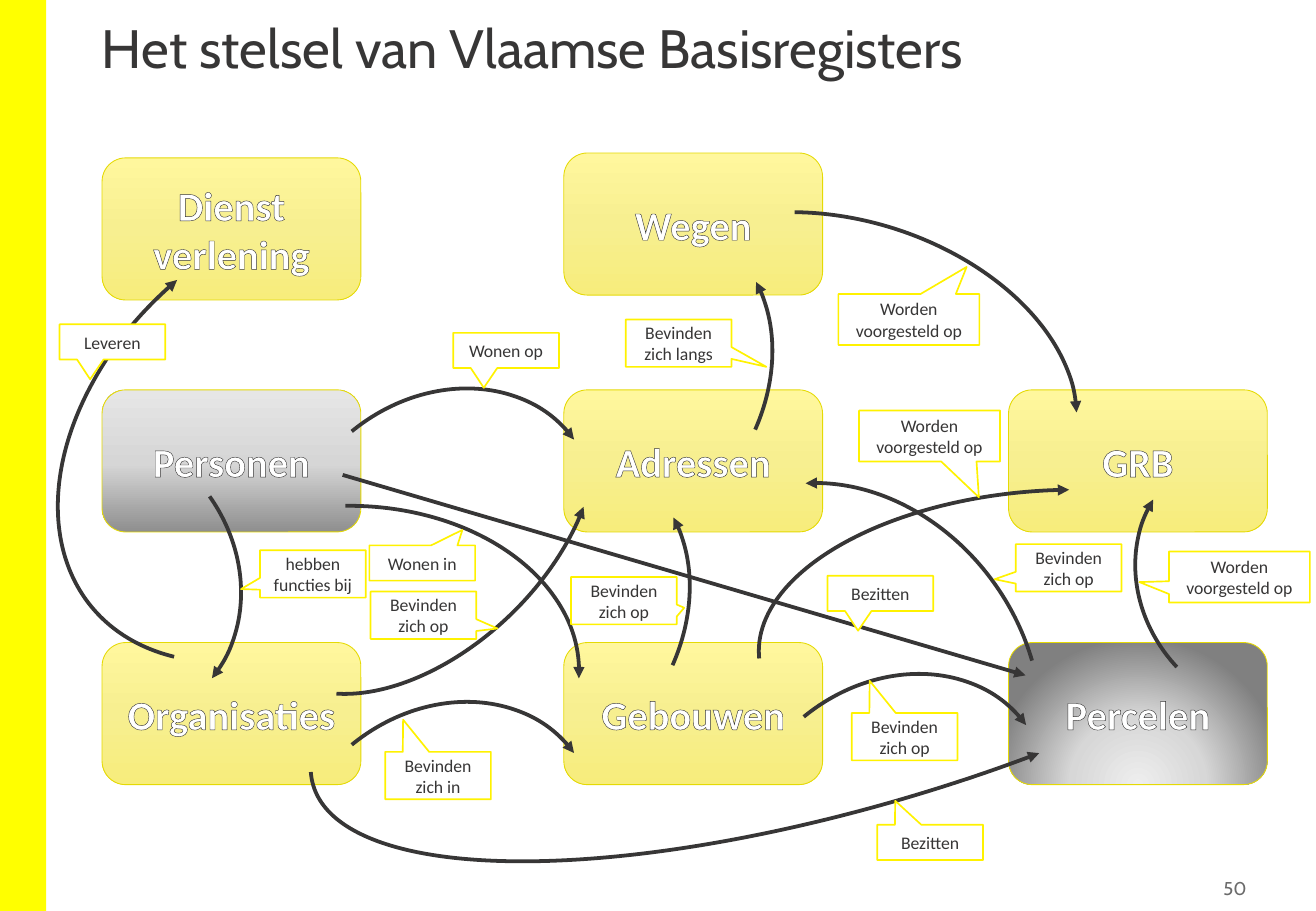
from lxml import etree
from pptx import Presentation
from pptx import util as u
from pptx.dml.color import RGBColor
from pptx.enum import shapes, text
from pptx.oxml import ns

DARK = RGBColor(0x37, 0x36, 0x36)
GREY = RGBColor(0x6B, 0x6B, 0x6B)
WHITE = RGBColor(0xFF, 0xFF, 0xFF)
BAND = RGBColor(0xFF, 0xFF, 0x00)
BOX_EDGE = RGBColor(0xE5, 0xDA, 0x04)
CALLOUT_EDGE = RGBColor(0xFF, 0xF2, 0x00)

WIDTH, HEIGHT = 10.83, 7.5
COLUMNS = (0.84, 4.64, 8.3)
ROWS = (1.26, 1.3, 3.21, 5.29)
BOX_SIZE = (2.13, 1.17)
CENTER, MIDDLE = text.PP_ALIGN.CENTER, text.MSO_ANCHOR.MIDDLE

# Gradient stops as (position, colour), followed by the direction
LINEAR = '<a:lin ang="{}" scaled="0"/>'
YELLOW_FILL = (((0, "FFF79D"), (50, "F7EF90"), (100, "F7ED7C")), LINEAR.format(90 * 60000))
GREY_FILL = (((0, "8F8F8F"), (48, "D6D6D6"), (100, "E6E6E6")), LINEAR.format(270 * 60000))
RADIAL_FILL = (
    ((0, "EEEEEE"), (46, "D7D7D7"), (100, "808080")),
    '<a:path path="circle"><a:fillToRect l="50000" t="130000" r="50000" b="-30000"/></a:path>',
)

# Name, column, row, fill
REGISTERS = [
    ("Wegen", 1, 0, YELLOW_FILL),
    ("GRB", 2, 2, YELLOW_FILL),
    ("Personen", 0, 2, GREY_FILL),
    ("Adressen", 1, 2, YELLOW_FILL),
    ("Percelen", 2, 3, RADIAL_FILL),
    ("Organisaties", 0, 3, YELLOW_FILL),
    ("Gebouwen", 1, 3, YELLOW_FILL),
    ("Dienst\vverlening", 0, 1, YELLOW_FILL),
]

# Left, top, width, height, rotation, flips, start and end adjustment (0.6 per degree)
ARCS = [
    (3.95, 1.73, 2.3, 2.91, 34.7, "", 172.64, 205.7),
    (-0.38, 3.43, 2.3, 2.6, 320, "V", 167.27, 212.37),
    (2.36, 3.48, 9.73, 3.09, 342.7, "HV", 143.3, 0.83),
    (2.48, 3.07, 2.3, 2.73, 231.6, "V", 161, 0.83),
    (6.2, 5.42, 2.3, 2.73, 231.6, "V", 161, 0.83),
    (2.48, 5.65, 2.3, 2.73, 231.6, "V", 161, 0.83),
    (1.8, 3.31, 3.38, 2.04, 316.1, "HV", 130.25, 204.88),
    (9.41, 3.57, 2.16, 2.4, 132.1, "V", 167.27, 212.37),
    (6.24, 4.04, 4.74, 2.4, 176.1, "V", 154.35, 0.29),
    (1.51, 3.64, 2.73, 3.78, 270, "V", 161, 0.83),
    (5.68, 1.16, 2.57, 3.89, 287.5, "V", 167.27, 20.95),
    (3.27, 3.67, 2.3, 2.91, 34.7, "", 172.64, 205.7),
    (5.53, 3.88, 2.93, 3.56, 145.1, "HV", 175.58, 15.9),
    (0.22, 1.91, 4.59, 3.23, 139.8, "V", 162.44, 11.93),
]

# Callout sizes: one line, two lines, two wide lines
SINGLE, DOUBLE, WIDE = (0.87, 0.29), (0.87, 0.39), (1.16, 0.42)
# Wording, left, top, size, pointer tip as shares of the callout
CALLOUTS = [
    ("Bezitten", 6.81, 4.74, SINGLE, -0.21, 1.06),
    ("Wonen op", 3.73, 2.74, SINGLE, -0.21, 1.06),
    ("Bezitten", 7.22, 6.79, SINGLE, -0.33, -1.18),
    ("Bevinden zich op", 7.01, 5.87, DOUBLE, -0.33, -1.18),
    ("Bevinden zich in", 3.17, 6.19, DOUBLE, -0.33, -1.18),
    ("Bevinden zich op", 3.05, 4.87, DOUBLE, 0.7, 0.28),
    ("hebben functies bij", 2.14, 4.53, DOUBLE, -0.68, 0.32),
    ("Bevinden zich langs", 5.15, 2.63, DOUBLE, 0.83, 0.5),
    ("Worden voorgesteld op", 7.07, 3.38, WIDE, 0.35, 1.2),
    ("Worden voorgesteld op", 9.62, 4.54, WIDE, -0.71, 0.1),
    ("Wonen in", 3.04, 4.49, SINGLE, 0.38, -0.94),
    ("Worden voorgesteld op", 6.9, 2.42, WIDE, 0.41, -1.03),
    ("Bevinden zich op", 4.7, 4.75, DOUBLE, 0.57, 0.15),
    ("Bevinden zich op", 8.36, 4.48, DOUBLE, -0.7, 0.24),
    ("Leveren", 0.49, 2.67, SINGLE, -0.21, 1.06),
]


def write(shape, wording, align, anchor, **font):
    """Fill a shape with one wrapped paragraph and format its spans."""
    frame = shape.text_frame
    frame.word_wrap, frame.vertical_anchor = True, anchor
    frame.text = wording
    para = frame.paragraphs[0]
    para.alignment = align
    color = font.pop("color")
    for span in para.runs:
        span.font.color.rgb = color
        for name, value in font.items():
            setattr(span.font, name, value)
    return para


def add_shape(kind, left, top, width, height, edge=None, weight=0):
    shape = page.shapes.add_shape(kind, *(u.Inches(v) for v in (left, top, width, height)))
    shape.shadow.inherit = False
    if edge is None:
        shape.line.fill.background()
    else:
        shape.line.color.rgb, shape.line.width = edge, u.Pt(weight)
    return shape


deck = Presentation()
deck.slide_width, deck.slide_height = u.Inches(WIDTH), u.Inches(HEIGHT)
page = deck.slides.add_slide(deck.slide_layouts[6])

band = add_shape(shapes.MSO_SHAPE.RECTANGLE, 0, 0, 0.38, HEIGHT)
band.fill.solid()
band.fill.fore_color.rgb = BAND

title = page.shapes.add_textbox(*(u.Inches(v) for v in (0.74, 0.13, 9.34, 1.08)))
para = write(title, "Het stelsel van Vlaamse Basisregisters", text.PP_ALIGN.LEFT,
             text.MSO_ANCHOR.TOP, name="Cabin", size=u.Pt(32), color=DARK)
para.line_spacing = 0.9

for name, column, row, (stops, direction) in REGISTERS:
    box = add_shape(shapes.MSO_SHAPE.ROUNDED_RECTANGLE, COLUMNS[column], ROWS[row],
                    *BOX_SIZE, BOX_EDGE, 0.5)
    stop_list = "".join(f'<a:gs pos="{pos * 1000}"><a:srgbClr val="{color}"/></a:gs>'
                        for pos, color in stops)
    gradient = etree.fromstring(f'<a:gradFill {ns.nsdecls("a")} rotWithShape="1">'
                                f'<a:gsLst>{stop_list}</a:gsLst>{direction}</a:gradFill>')
    box._element.spPr.find(ns.qn("a:prstGeom")).addnext(gradient)
    para = write(box, name, CENTER, MIDDLE, name="Calibri", size=u.Pt(24), bold=True, color=WHITE)
    for span in para.runs:
        outline = etree.fromstring(f'<a:ln {ns.nsdecls("a")} w="6600"><a:solidFill>'
                                   f'<a:srgbClr val="{DARK}"/></a:solidFill></a:ln>')
        span.font._element.insert(0, outline)

for left, top, width, height, rotation, flips, start, end in ARCS:
    arc = add_shape(shapes.MSO_SHAPE.ARC, left, top, width, height, DARK, 2.25)
    arc.fill.background()
    arc.rotation = rotation
    for axis in flips:
        arc._element.spPr.xfrm.set(f"flip{axis}", "1")
    arc.adjustments[0], arc.adjustments[1] = start, end
    etree.SubElement(arc.line._get_or_add_ln(), ns.qn("a:headEnd"), type="triangle")

owns = page.shapes.add_connector(shapes.MSO_CONNECTOR.STRAIGHT,
                                 *(u.Inches(v) for v in (2.82, 3.91, 8.44, 5.56)))
owns.line.color.rgb, owns.line.width = DARK, u.Pt(2.25)
etree.SubElement(owns.line._get_or_add_ln(), ns.qn("a:tailEnd"), type="triangle")
etree.SubElement(owns._element.spPr, ns.qn("a:effectLst"))

for wording, left, top, size, tip_x, tip_y in CALLOUTS:
    callout = add_shape(shapes.MSO_SHAPE.RECTANGULAR_CALLOUT, left, top, *size, CALLOUT_EDGE, 1)
    callout.fill.solid()
    callout.fill.fore_color.rgb = WHITE
    callout.adjustments[0], callout.adjustments[1] = tip_x, tip_y
    write(callout, wording, CENTER, MIDDLE, name="Calibri", size=u.Pt(10.5), color=DARK)

number = page.shapes.add_textbox(*(u.Inches(v) for v in (9.5, 7.17, 0.81, 0.29)))
for side in ("left", "top", "right", "bottom"):
    setattr(number.text_frame, f"margin_{side}", u.Inches(0.05))
write(number, "50", text.PP_ALIGN.RIGHT, MIDDLE, name="Cabin", size=u.Pt(11), color=GREY)

deck.save("out.pptx")
